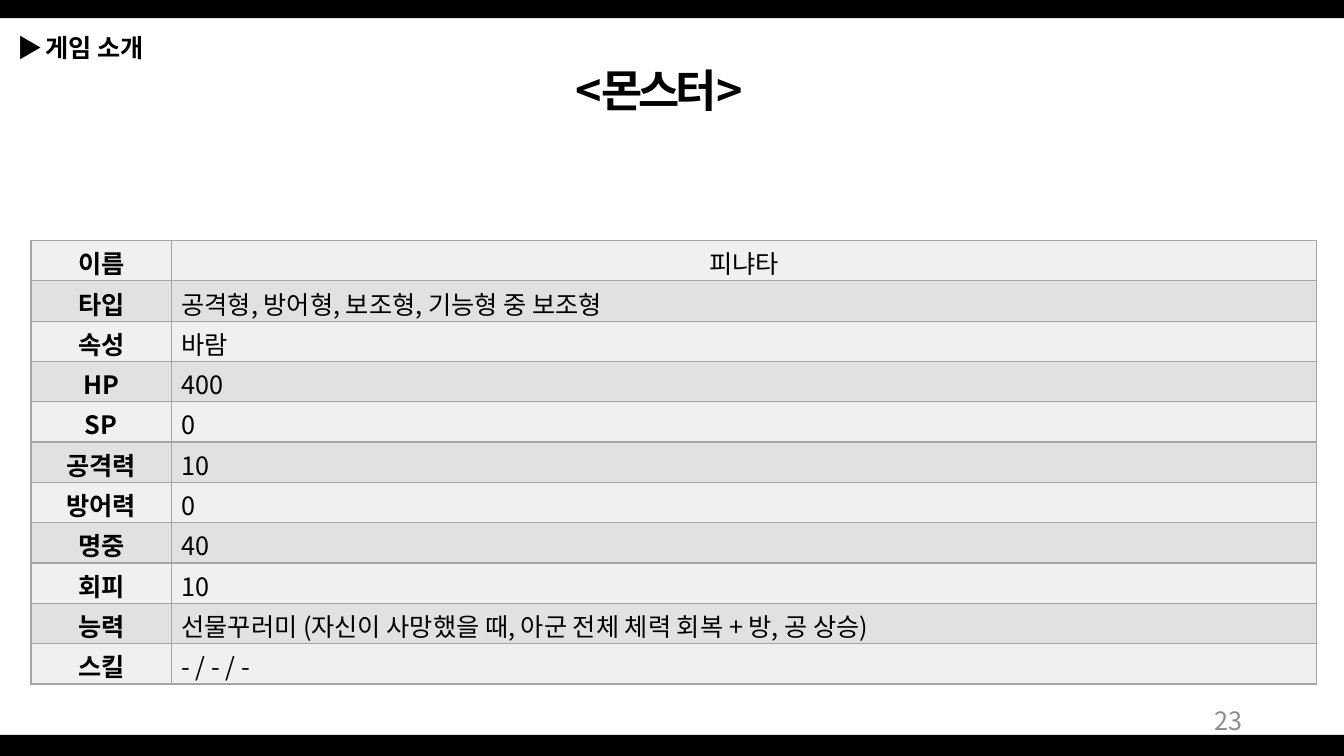
from lxml import etree
from pptx import Presentation
from pptx import util as u
from pptx.dml.color import RGBColor
from pptx.enum import shapes, text
from pptx.oxml import ns

FONT = "Noto Sans CJK KR"
COLORS = {"ink": "000000", "border": "A5A5A5", "light": "F0F0F0",
          "dark": "E1E1E1", "number": "8C8C8C"}
STATS = [
    ("이름", "피냐타"),
    ("타입", "공격형, 방어형, 보조형, 기능형 중 보조형"),
    ("속성", "바람"),
    ("HP", "400"),
    ("SP", "0"),
    ("공격력", "10"),
    ("방어력", "0"),
    ("명중", "40"),
    ("회피", "10"),
    ("능력", "선물꾸러미 (자신이 사망했을 때, 아군 전체 체력 회복 + 방, 공 상승)"),
    ("스킬", "- / - / -"),
]


def color(name):
    return RGBColor.from_string(COLORS[name])


def format_run(r, size=18, bold=False, ink="ink", spacing=0):
    r.font.name = FONT
    r.font.size = u.Pt(size)
    r.font.bold = bold
    r.font.color.rgb = color(ink)
    rPr = r._r.get_or_add_rPr()
    if spacing:
        rPr.set("spc", str(spacing))
    etree.SubElement(rPr, ns.qn("a:ea"), typeface=FONT)


def add_bar(s, left, top, width, height):
    sp = s.shapes.add_shape(shapes.MSO_SHAPE.RECTANGLE,
                            u.Cm(left), u.Cm(top), u.Cm(width), u.Cm(height))
    sp.shadow.inherit = False
    sp.fill.solid()
    sp.fill.fore_color.rgb = color("ink")
    sp.line.fill.background()


def add_text_box(s, left, top, width, height):
    sp = s.shapes.add_textbox(u.Cm(left), u.Cm(top), u.Cm(width), u.Cm(height))
    sp.text_frame.word_wrap = True
    return sp.text_frame


def add_section(s, left, top, width, height):
    p = add_text_box(s, left, top, width, height).paragraphs[0]
    for part, bold, spacing in (("▶ ", False, -210), ("게임 소개", True, 0)):
        r = p.add_run()
        r.text = part
        format_run(r, bold=bold, spacing=spacing)


def add_title(s, left, top, width, height):
    sp = s.shapes.title
    sp.left, sp.top, sp.width, sp.height = map(u.Cm, (left, top, width, height))
    tf = sp.text_frame
    tf.text = "<몬스터>"
    tf.auto_size = text.MSO_AUTO_SIZE.NONE
    tf.vertical_anchor = text.MSO_ANCHOR.TOP
    p = tf.paragraphs[0]
    p.alignment = text.PP_ALIGN.CENTER
    format_run(p.runs[0], size=32, bold=True, spacing=-300)


def add_borders(cell):
    tcPr = cell._tc.get_or_add_tcPr()
    for i, side in enumerate(("lnL", "lnR", "lnT", "lnB")):
        ln = etree.Element(ns.qn(f"a:{side}"), w=str(u.Pt(1)))
        fill = etree.SubElement(ln, ns.qn("a:solidFill"))
        etree.SubElement(fill, ns.qn("a:srgbClr"), val=COLORS["border"])
        tcPr.insert(i, ln)


def fill_cell(cell, words, fill, bold, centred):
    cell.fill.solid()
    cell.fill.fore_color.rgb = color(fill)
    cell.vertical_anchor = text.MSO_ANCHOR.MIDDLE
    cell.margin_top, cell.margin_bottom = u.Cm(0.1), 0
    cell.text_frame.text = words
    p = cell.text_frame.paragraphs[0]
    p.alignment = text.PP_ALIGN.CENTER if centred else text.PP_ALIGN.LEFT
    format_run(p.runs[0], bold=bold)
    add_borders(cell)


def add_stats(s, left, top, width, height, label_width=3.54):
    table = s.shapes.add_table(len(STATS), 2, u.Cm(left), u.Cm(top),
                               u.Cm(width), u.Cm(height)).table
    table.first_row = table.horz_banding = False
    table.columns[0].width = u.Cm(label_width)
    table.columns[1].width = u.Cm(width - label_width)
    for i, (label, value) in enumerate(STATS):
        table.rows[i].height = u.Cm(height / len(STATS))
        fill = "dark" if i % 2 else "light"
        fill_cell(table.cell(i, 0), label, fill, True, True)
        fill_cell(table.cell(i, 1), value, fill, False, i == 0)


def add_number(s, left, top, width, height):
    tf = add_text_box(s, left, top, width, height)
    tf.text = "23"
    tf.vertical_anchor = text.MSO_ANCHOR.MIDDLE
    p = tf.paragraphs[0]
    p.alignment = text.PP_ALIGN.RIGHT
    format_run(p.runs[0], ink="number")


def add_monster_slide(prs):
    s = prs.slides.add_slide(prs.slide_layouts[5])
    width = prs.slide_width.cm
    add_bar(s, 0, 18.52, width, 0.53)
    add_bar(s, 0, 0, width, 0.46)
    add_section(s, 0.2, 0.69, 10.5, 1.02)
    add_title(s, 12.83, 1.45, 7.57, 1.63)
    add_stats(s, 0.78, 6.06, 32.4, 11.18)
    add_number(s, 23.93, 17.65, 7.62, 1.02)


def main():
    prs = Presentation()
    prs.slide_width, prs.slide_height = u.Cm(33.87), u.Cm(19.05)
    add_monster_slide(prs)
    prs.save("out.pptx")


if __name__ == "__main__":
    main()
